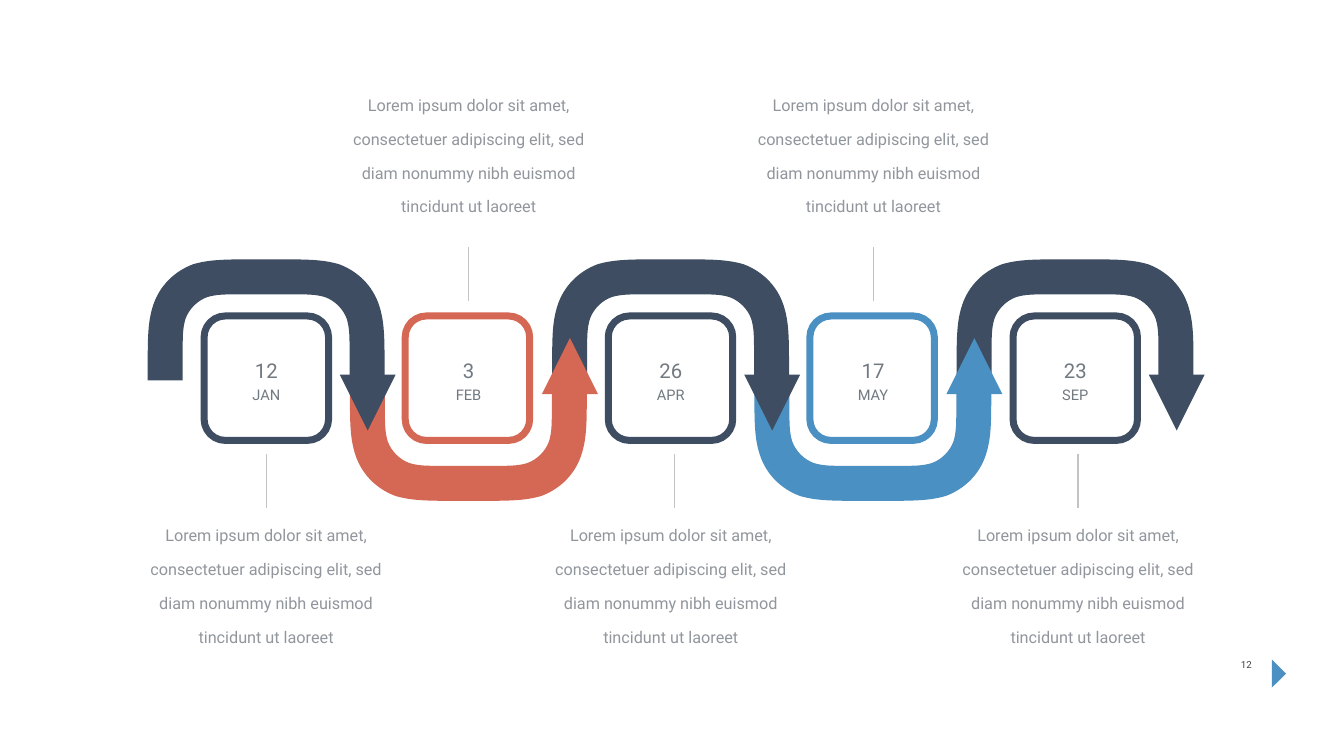
from lxml import etree
from pptx import Presentation
from pptx import util as u
from pptx.dml.color import RGBColor
from pptx.enum import shapes, text
from pptx.oxml.ns import qn

NAVY = RGBColor(0x3E, 0x4D, 0x61)
RED = RGBColor(0xD5, 0x68, 0x54)
BLUE = RGBColor(0x4B, 0x90, 0xC2)
DATE_GREY = RGBColor(0x71, 0x79, 0x81)
BODY_GREY = RGBColor(0x91, 0x96, 0x9D)
LINE_GREY = RGBColor(0xC1, 0xC4, 0xC7)
PAGE_GREY = RGBColor(0x3F, 0x43, 0x47)
FONT = "Roboto"

BODY = ("Lorem ipsum dolor sit amet, consectetuer adipiscing elit, "
        "sed diam nonummy nibh euismod tincidunt ut laoreet")
# day, month, colour, frame left, centres of description and leader line
STEPS = [
    ("12", "JAN", NAVY, 291.6, 380.2, 380.9),
    ("3", "FEB", RED, 578.9, 669.6, 669.6),
    ("26", "APR", NAVY, 869, 958.3, 963.8),
    ("17", "MAY", BLUE, 1157, 1247.8, 1247.8),
    ("23", "SEP", NAVY, 1447.2, 1540.1, 1540.1),
]
PAGE_NUMBER = "12"

# Geometry of the chain
PITCH = 288.9
ARC_LEFT, ARC_WIDTH, ARC_HEIGHT = 211, 338.4, 173
SQUARE, SQUARE_TOP = 177.8, 451.4
HEAD, HEAD_INSET = 80, 274.3
DATE_INSET, DATE_WIDTH = 104, 131
BODY_WIDTH, BODY_HEIGHT = 362.9, 137.5

# Outlines in steps: one point is a straight line, three are a Bezier curve
HALF_ARC = [
    [(156, 0)],
    [(112, 0), (89, 0), (65, 7)],
    [(38, 17), (17, 38), (8, 65)],
    [(0, 89), (0, 112), (0, 156.5)],
    [(0, 173)], [(50, 173)], [(50, 135)],
    [(50, 110), (50, 98), (54, 85)],
    [(59, 71), (71, 59), (85, 54)],
    [(98, 50), (110, 50), (135, 50)],
]
TRIANGLE = [[(HEAD / 2, 0)], [(HEAD, HEAD)], [(0, HEAD)]]
MARKER = [[(20, 0)], [(20, 40)], [(0, 20)]]


def whole_arc():
    """Join the left half to its mirror, whose steps run in the same order."""
    points = [point for step in HALF_ARC for point in step]
    mirror = iter([(ARC_WIDTH - x, y) for x, y in reversed(points)])
    return HALF_ARC + [[next(mirror) for _ in step] for step in HALF_ARC]


def add_outline(page, steps, left, top, width, height, colour, rotation=0):
    builder = page.shapes.build_freeform(0, 0, scale=u.Pt(1))
    builder.add_line_segments([(width, 0), (width, height), (0, height)])
    shape = builder.convert_to_shape(u.Pt(left), u.Pt(top))
    shape.width, shape.height = u.Pt(width), u.Pt(height)
    shape.rotation = rotation
    shape.shadow.inherit = False
    shape.fill.solid()
    shape.fill.fore_color.rgb = colour
    shape.line.fill.background()

    # Draw the steps in place of the bounding box
    outline = next(shape._element.iter(qn("a:path")))
    for child in list(outline):
        outline.remove(child)
    outline.set("w", str(u.Pt(width)))
    outline.set("h", str(u.Pt(height)))
    for i, step in enumerate(steps):
        kind = ("a:moveTo" if i == 0 else
                "a:cubicBezTo" if len(step) == 3 else "a:lnTo")
        command = etree.SubElement(outline, qn(kind))
        for x, y in step:
            etree.SubElement(command, qn("a:pt"),
                             x=str(u.Pt(x)), y=str(u.Pt(y)))
    etree.SubElement(outline, qn("a:close"))


def add_text(page, words, left, top, width, height, size, colour, raised,
             spacing=None, anchor=text.MSO_ANCHOR.MIDDLE):
    box = page.shapes.add_textbox(*map(u.Pt, (left, top, width, height)))
    frame = box.text_frame
    frame.word_wrap = True
    frame.auto_size = text.MSO_AUTO_SIZE.SHAPE_TO_FIT_TEXT
    frame.vertical_anchor = anchor
    frame.margin_left = frame.margin_right = u.Pt(4.5)
    frame.margin_top = frame.margin_bottom = u.Pt(4.5)
    para = frame.paragraphs[0]
    para.alignment = text.PP_ALIGN.CENTER
    if spacing:
        para.line_spacing = spacing
    para.font.name = FONT
    para.font.size = u.Pt(size)
    para.font.color.rgb = colour
    span = para.add_run()
    span.text = words
    span.font._element.set("baseline", str(raised * 1000))


def add_leader(page, x, top, bottom):
    line = page.shapes.add_connector(
        shapes.MSO_CONNECTOR.STRAIGHT, *map(u.Pt, (x, bottom, x, top)))
    line.line.color.rgb = LINE_GREY
    line.line.width = u.Pt(2)
    etree.SubElement(line._element.spPr, qn("a:effectLst"))


def main():
    deck = Presentation()
    deck.slide_width, deck.slide_height = u.Pt(1920), u.Pt(1080)
    page = deck.slides.add_slide(deck.slide_layouts[6])

    # Page number and marker
    add_outline(page, MARKER, 1817, 942.3, 20, 40, BLUE, 180)
    add_text(page, PAGE_NUMBER, 1744, 942.3, 73, 40, 24, PAGE_GREY, 33,
             0.7, text.MSO_ANCHOR.TOP)

    # Date frames and arcs
    arc = whole_arc()
    for i, (_, _, colour, frame_left, _, _) in enumerate(STEPS):
        frame = page.shapes.add_shape(
            shapes.MSO_SHAPE.ROUNDED_RECTANGLE,
            *map(u.Pt, (frame_left, SQUARE_TOP, SQUARE, SQUARE)))
        frame.adjustments[0] = 0.17
        frame.shadow.inherit = False
        frame.fill.background()
        frame.line.color.rgb = colour
        frame.line.width = u.Pt(10)
        upper = i % 2 == 0
        add_outline(page, arc, ARC_LEFT + i * PITCH, 370.5 if upper else 542.5,
                    ARC_WIDTH, ARC_HEIGHT, colour, 0 if upper else 180)

    # Arrowheads, dates, leader lines and descriptions
    for i, (day, month, colour, _, body_x, leader_x) in enumerate(STEPS):
        left = ARC_LEFT + i * PITCH
        upper = i % 2 == 0
        head_top, turn, line_top, body_top = (
            (535, 180, 648.7, 778.3) if upper else (483, 0, 352.8, 163.8))
        add_outline(page, TRIANGLE, left + HEAD_INSET, head_top, HEAD, HEAD,
                    colour, turn)
        add_text(page, day, left + DATE_INSET, 496.6, DATE_WIDTH, 85.7,
                 50, DATE_GREY, 24, 0.7)
        add_text(page, month, left + DATE_INSET, 541.7, DATE_WIDTH, 67.7,
                 36, DATE_GREY, 33, 0.7)
        add_leader(page, leader_x, line_top, line_top + 77)
        add_text(page, BODY, body_x - BODY_WIDTH / 2, body_top, BODY_WIDTH,
                 BODY_HEIGHT, 40, BODY_GREY, 43)

    deck.save("out.pptx")


if __name__ == "__main__":
    main()
